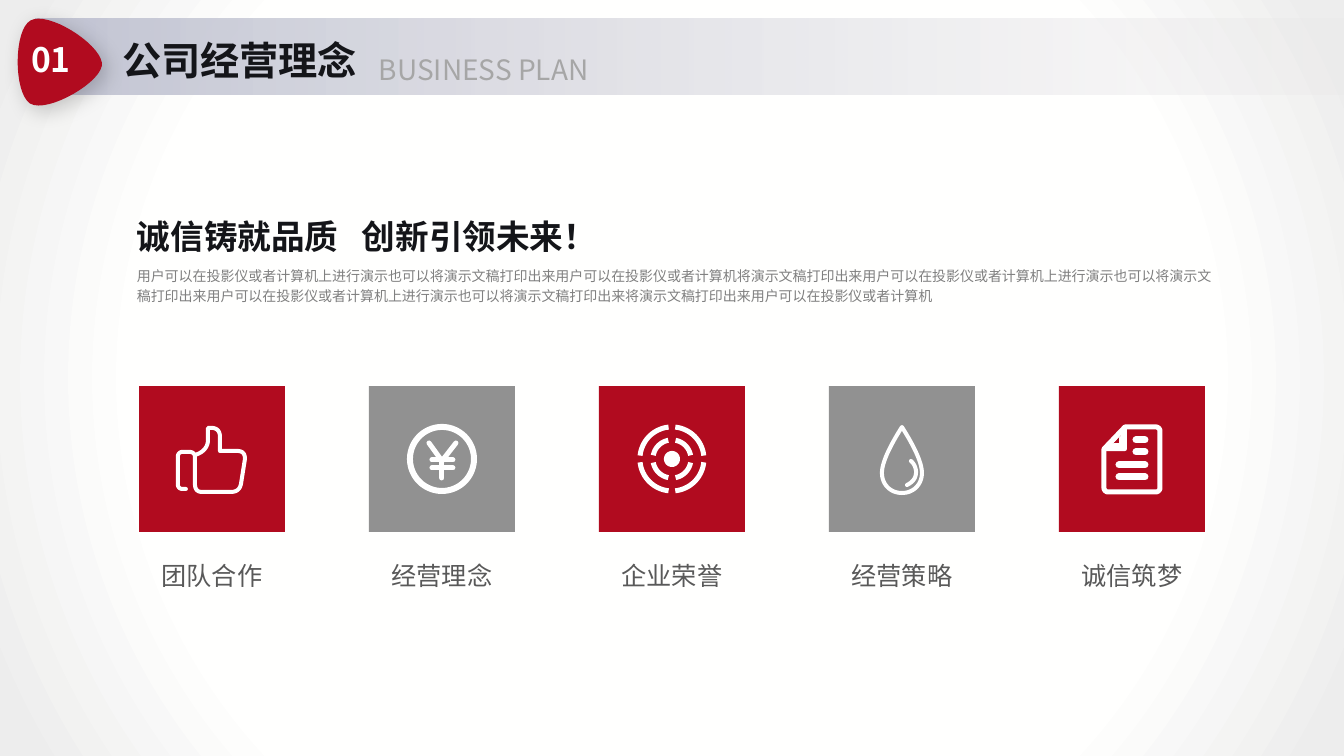
from math import cos, radians, sin

from lxml.etree import SubElement
from pptx import Presentation
from pptx.dml.color import RGBColor
from pptx.enum.shapes import MSO_SHAPE as SHAPE
from pptx.enum.text import MSO_ANCHOR as ANCHOR, MSO_AUTO_SIZE as AUTO, PP_ALIGN as ALIGN
from pptx.oxml.ns import qn
from pptx.util import Emu, Pt

FONT = "Noto Sans CJK SC"
RED, GREY, WHITE, INK = "B10B1F", "919191", "FFFFFF", "141519"
TITLE, SUBTITLE, NUMBER = "公司经营理念", "BUSINESS PLAN", "01"
HEADLINE = "诚信铸就品质\t创新引领未来！"
BODY = (
    "用户可以在投影仪或者计算机上进行演示也可以将演示文稿打印出来"
    "用户可以在投影仪或者计算机将演示文稿打印出来"
    "用户可以在投影仪或者计算机上进行演示也可以将演示文稿打印出来"
    "用户可以在投影仪或者计算机上进行演示也可以将演示文稿打印出来"
    "将演示文稿打印出来用户可以在投影仪或者计算机"
)
BACKDROP = [(0, "FFFFFE", 100), (69, "FFFFFE", 100), (97, "EDEDED", 100)]
BAR_STOPS = [(0, "C3C5D4", 100), (100, "E7E5E6", 20)]
BADGE = "M 19 95 C 6 80 22 20 41 15 C 60 10 101 54 99 74 C 98 92 33 110 19 95 Z"


def broken_ring(r, gap):
    return " ".join(f"A 73 73 {r} {a + gap} {a + 90 - gap}" for a in range(0, 360, 90))


THUMB = [
    (4, "M 69 42 L 69 54 C 69 64 60 68 56 69 L 56 98 C 56 103 58 106 63 106 L 92 106 "
        "C 98 106 101 103 102 98 L 106 73 C 106 67 103 65 98 65 L 81 65 L 81 51 "
        "C 81 45 78 41 69 42 Z"),
    (4, "M 47 103 L 43 103 C 41 103 39 101 39 99 L 39 70 C 39 68 41 66 43 66 L 51 66 "
        "C 54 66 55 68 56 69"),
]
YEN = [
    (6, "A 73 73 32 0 360 Z"),
    (5, "M 60 57 L 73 75 L 87 57 M 73 75 L 73 92 M 63 74 L 84 74 M 63 82 L 84 82"),
]
TARGET = [(5, broken_ring(32, 6)), (5, broken_ring(19, 11)), (8, "A 73 73 4 0 360 Z")]
DROP = [
    (4, "M 73 41 C 83 57 93 75 93 87 C 93 98 85 107 73 107 C 61 107 53 98 53 87 "
        "C 53 75 63 57 73 41 Z"),
    (4, "M 82 75 C 88 80 91 93 78 99"),
]
PAPER = [
    (5, "M 66 41 L 97 41 C 99 41 101 43 101 45 L 101 102 C 101 104 99 106 97 106 "
        "L 49 106 C 47 106 45 104 45 102 L 45 63 Z"),
    (4, "M 46 63 L 66 63 L 66 42 Z M 49 61 L 64 61 L 64 46 M 55 59 L 62 59 L 62 52"),
    (7, "M 60 91 L 86 91 M 60 79 L 86 79 M 77 66 L 86 66 M 77 54 L 86 54"),
]
TILES = [
    ("团队合作", RED, THUMB),
    ("经营理念", GREY, YEN),
    ("企业荣誉", RED, TARGET),
    ("经营策略", GREY, DROP),
    ("诚信筑梦", RED, PAPER),
]
TILE_LEFT, TILE_TOP, TILE, PITCH = 139, 386, 146, 230
CURVE_STEPS = 16


def px(n):
    return Emu(round(n * 914400 / 100.8))


def rgb(value):
    return RGBColor.from_string(value)


def contours(outline):
    tokens, result = outline.split(), []
    while tokens:
        cmd = tokens.pop(0)
        if cmd == "Z":
            result[-1][1] = True
            continue
        count = {"M": 2, "L": 2, "C": 6, "A": 5}[cmd]
        v = [float(tokens.pop(0)) for _ in range(count)]
        if cmd == "M":
            result.append([[(v[0], v[1])], False])
        elif cmd == "L":
            result[-1][0].append((v[0], v[1]))
        elif cmd == "C":
            points = result[-1][0]
            knots = [points[-1], v[:2], v[2:4], v[4:]]
            for i in range(1, CURVE_STEPS + 1):
                t = i / CURVE_STEPS
                weights = ((1 - t) ** 3, 3 * t * (1 - t) ** 2, 3 * t * t * (1 - t), t ** 3)
                points.append(tuple(sum(w * k[d] for w, k in zip(weights, knots)) for d in (0, 1)))
        else:
            cx, cy, r, start, end = v
            steps = round((end - start) / 4)
            angles = [radians(start + (end - start) * i / steps) for i in range(steps + 1)]
            result.append([[(cx + r * cos(a), cy + r * sin(a)) for a in angles], False])
    return result


def draw(s, outline, left=0, top=0):
    builder = None
    for points, closed in contours(outline):
        moved = [(px(left + x), px(top + y)) for x, y in points]
        if builder is None:
            builder = s.shapes.build_freeform(*moved[0])
        else:
            builder.move_to(*moved[0])
        builder.add_line_segments(moved[1:], close=closed)
    sp = builder.convert_to_shape()
    sp.shadow.inherit = False
    return sp


def stroke(s, width, outline, left, top):
    sp = draw(s, outline, left, top)
    sp.fill.background()
    sp.line.color.rgb = rgb(WHITE)
    sp.line.width = px(width)
    if "A" not in outline:
        sp.line._ln.set("cap", "rnd")


def rect(s, left, top, width, height):
    sp = s.shapes.add_shape(SHAPE.RECTANGLE, px(left), px(top), px(width), px(height))
    sp.shadow.inherit = False
    sp.line.fill.background()
    return sp


def add_color(parent, color, alpha):
    clr = SubElement(parent, qn("a:srgbClr"), val=color)
    if alpha < 100:
        SubElement(clr, qn("a:alpha"), val=str(alpha * 1000))


def gradient(owner, fill, stops, radial):
    fill.gradient()
    grad = owner.xpath(".//a:gradFill")[0]
    for child in list(grad):
        grad.remove(child)
    gs_lst = SubElement(grad, qn("a:gsLst"))
    for pos, color, alpha in stops:
        add_color(SubElement(gs_lst, qn("a:gs"), pos=str(pos * 1000)), color, alpha)
    if radial:
        way = SubElement(grad, qn("a:path"), path="circle")
        SubElement(way, qn("a:fillToRect"), l="50000", t="50000", r="50000", b="50000")
    else:
        SubElement(grad, qn("a:lin"), ang="0", scaled="0")


def write(sp, text, box, size, color, bold=False, align=ALIGN.LEFT, wrap=False, spacing=None, tab=None):
    sp.left, sp.top, sp.width, sp.height = map(px, box)
    tf = sp.text_frame
    tf.word_wrap = wrap
    tf.auto_size = AUTO.NONE
    tf.vertical_anchor = ANCHOR.TOP
    tf.text = text
    p = tf.paragraphs[0]
    p.alignment = align
    if spacing:
        p.line_spacing = spacing
    if tab:
        tabs = SubElement(p._p.get_or_add_pPr(), qn("a:tabLst"))
        SubElement(tabs, qn("a:tab"), pos=str(px(tab)), algn="l")
    p.font.name, p.font.size, p.font.bold = FONT, Pt(size), bold
    p.font.color.rgb = rgb(color)
    SubElement(p._p.xpath(".//a:defRPr")[0], qn("a:ea"), typeface=FONT)


def label(s, *args, **kwargs):
    write(s.shapes.add_textbox(0, 0, 0, 0), *args, **kwargs)


def main():
    prs = Presentation()
    prs.slide_width, prs.slide_height = px(1344), px(756)
    s = prs.slides.add_slide(prs.slide_layouts[5])
    gradient(s.element, s.background.fill, BACKDROP, True)

    for i, (name, color, icon) in enumerate(TILES):
        left = TILE_LEFT + i * PITCH
        tile = rect(s, left, TILE_TOP, TILE, TILE)
        tile.fill.solid()
        tile.fill.fore_color.rgb = rgb(color)
        for width, outline in icon:
            stroke(s, width, outline, left, TILE_TOP)
        label(s, name, (left + 12, 555, 122, 40), 18, "595959", align=ALIGN.CENTER)

    label(s, BODY, (127, 259, 1100, 92), 10, "808080", wrap=True, spacing=1.2)
    label(s, HEADLINE, (127, 211, 492, 50), 24, INK, bold=True, tab=225)

    bar = rect(s, 36, 19, 1308, 76)
    gradient(bar.element, bar.fill, BAR_STOPS, False)
    label(s, SUBTITLE, (369, 48, 239, 44), 20, "A6A6A6")
    title = s.shapes.title
    write(title, TITLE, (112, 31, 259, 57), 28, INK, bold=True)
    s.shapes.element.append(title.element)

    badge = draw(s, BADGE)
    badge.rotation = 345
    badge.fill.solid()
    badge.fill.fore_color.rgb = rgb(RED)
    badge.line.fill.background()
    effects = badge.element.xpath(".//a:effectLst")[0]
    shadow = SubElement(effects, qn("a:outerShdw"), blurRad=str(Pt(15)), dist=str(Pt(5)), dir="2700000")
    add_color(shadow, "000000", 20)
    label(s, NUMBER, (20, 34, 62, 50), 24, WHITE, bold=True, align=ALIGN.CENTER)
    prs.save("out.pptx")


if __name__ == "__main__":
    main()
